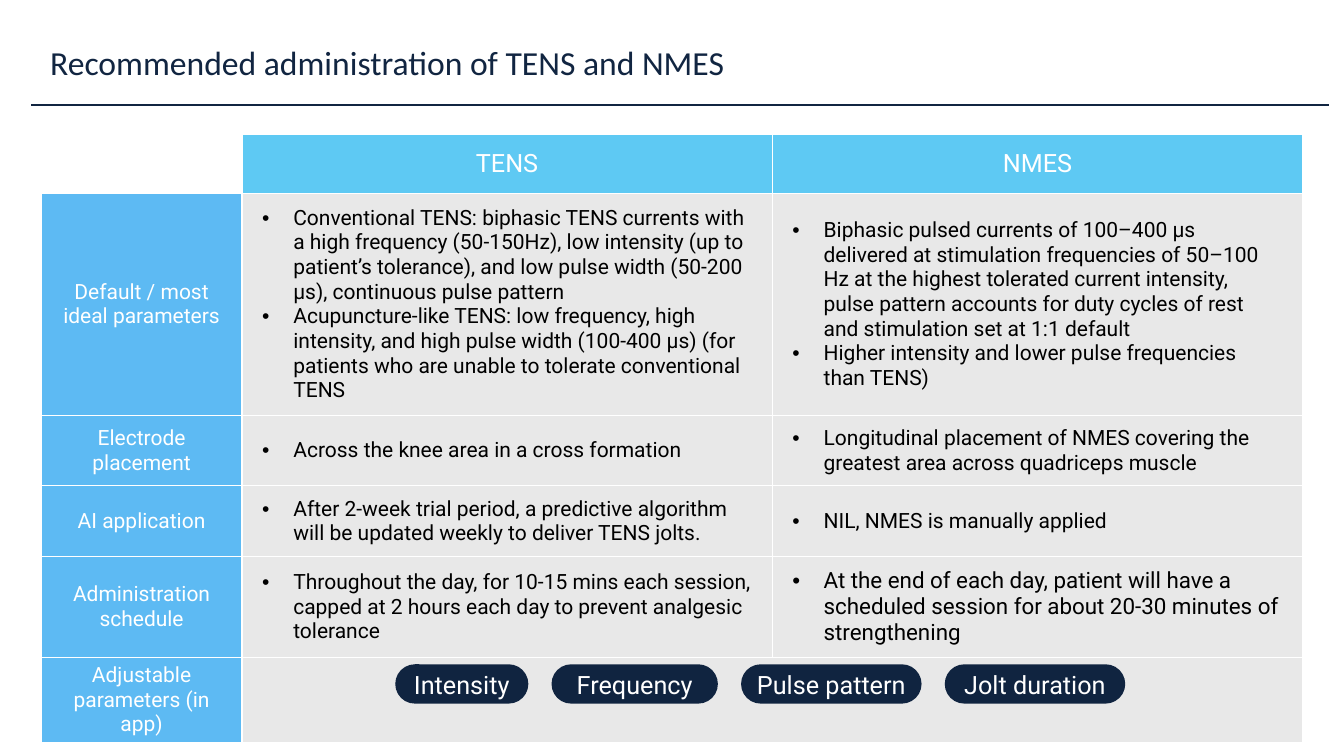
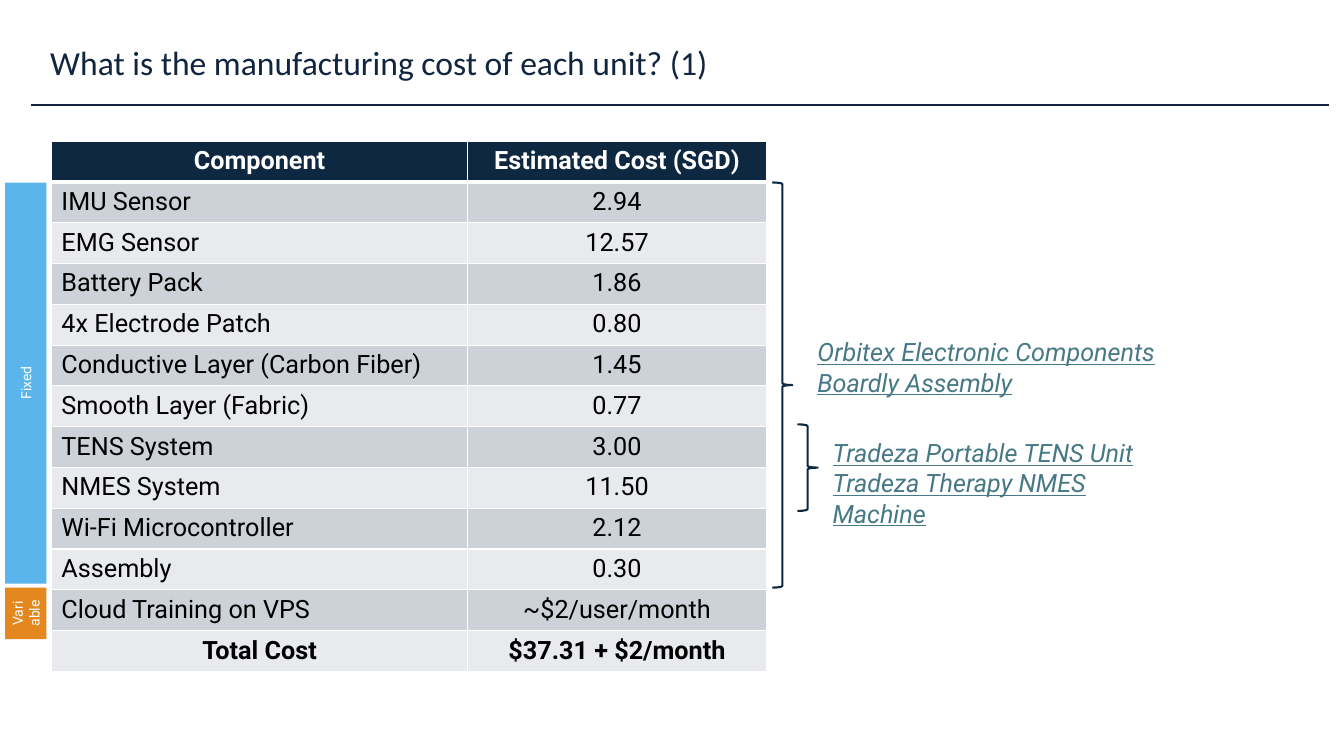
"""Build two slides: stimulation therapy settings and the unit cost breakdown."""
from dataclasses import dataclass

from lxml import etree
from pptx import Presentation
from pptx.dml.color import RGBColor
from pptx.enum.shapes import MSO_CONNECTOR, MSO_SHAPE
from pptx.enum.text import MSO_ANCHOR, PP_ALIGN
from pptx.oxml.ns import qn
from pptx.util import Inches, Pt


@dataclass(frozen=True)
class Theme:
    title_font: str = "Calibri"
    body_font: str = "Roboto"
    title_color: str = "112541"
    navy: str = "0E2841"
    pill: str = "102440"
    white: str = "FFFFFF"
    black: str = "000000"
    header: str = "5EC9F3"
    label: str = "5DBAF3"
    panel: str = "E8E8E8"
    band_dark: str = "CCD2D8"
    band_light: str = "E8EAED"
    fixed: str = "59B5EC"
    variable: str = "E3871E"
    link: str = "467886"
    title_size: float = 24
    large: float = 18
    medium: float = 16
    body: float = 15
    small: float = 10
    rule: float = 1.5


THEME = Theme()

THERAPY_TITLE = "Recommended administration of TENS and NMES"
THERAPY_HEADERS = ("TENS", "NMES")
THERAPY_ROWS = [
    ("Default / most ideal parameters",
     ["Conventional TENS: biphasic TENS currents with a high frequency (50-150Hz), low intensity "
      "(up to patient’s tolerance), and low pulse width (50-200 μs), continuous pulse pattern",
      "Acupuncture-like TENS: low frequency, high intensity, and high pulse width (100-400 μs) "
      "(for patients who are unable to tolerate conventional TENS"],
     ["Biphasic pulsed currents of 100–400 μs delivered at stimulation frequencies of 50–100 Hz "
      "at the highest tolerated current intensity, pulse pattern accounts for duty cycles of rest "
      "and stimulation set at 1:1 default",
      "Higher intensity and lower pulse frequencies than TENS)"]),
    ("Electrode placement",
     ["Across the knee area in a cross formation"],
     ["Longitudinal placement of NMES covering the greatest area across quadriceps muscle"]),
    ("AI application",
     ["After 2-week trial period, a predictive algorithm will be updated weekly to deliver TENS jolts."],
     ["NIL, NMES is manually applied"]),
    ("Administration schedule",
     ["Throughout the day, for 10-15 mins each session, capped at 2 hours each day to prevent "
      "analgesic tolerance"],
     ["At the end of each day, patient will have a scheduled session for about 20-30 minutes of "
      "strengthening"]),
]
ADJUSTABLE_LABEL = "Adjustable parameters (in app)"
ADJUSTABLE = [("Intensity", 1.32), ("Frequency", 1.65), ("Pulse pattern", 1.79), ("Jolt duration", 1.79)]
THERAPY_COLUMNS = (1.99, 5.26, 5.26)
THERAPY_HEIGHTS = (0.59, 2.19, 0.7, 0.7, 0.99, 0.85)

COST_TITLE = "What is the manufacturing cost of each unit? (1)"
COST_ROWS = [
    ("Component", "Estimated Cost (SGD)"),
    ("IMU Sensor", "2.94"),
    ("EMG Sensor", "12.57"),
    ("Battery Pack", "1.86"),
    ("4x Electrode Patch", "0.80"),
    ("Conductive Layer (Carbon Fiber)", "1.45"),
    ("Smooth Layer (Fabric)", "0.77"),
    ("TENS System", "3.00"),
    ("NMES System", "11.50"),
    ("Wi-Fi Microcontroller", "2.12"),
    ("Assembly", "0.30"),
    ("Cloud Training on VPS", "~$2/user/month"),
    ("Total Cost", "$37.31 + $2/month"),
]
COST_COLUMNS = (4.13, 2.96)
COST_ROW_HEIGHT = 0.405
COST_TYPES = [("Fixed", 1.81, 3.98, THEME.fixed), ("Variable", 5.83, 0.51, THEME.variable)]
SOURCES = [
    (["Orbitex Electronic Components", "Boardly Assembly"], (7.66, 1.81, 0.2, 4.02),
     (8.01, 3.29, 3.6, 0.71), False),
    (["Tradeza Portable TENS Unit", "Tradeza Therapy NMES Machine"], (7.91, 4.21, 0.2, 0.86),
     (8.16, 4.29, 3.64, 0.71), True),
]


def inches(values):
    return [Inches(value) for value in values]


def color(value):
    return RGBColor.from_string(value)


def write(frame, lines, size, text_color, align=PP_ALIGN.LEFT, font=THEME.body_font,
          bold=False, link=False, bullet=False):
    for index, line in enumerate(lines):
        paragraph = frame.paragraphs[0] if index == 0 else frame.add_paragraph()
        paragraph.text = line
        paragraph.alignment = align
        if bullet:
            properties = paragraph._p.get_or_add_pPr()
            properties.set("marL", str(Inches(0.31)))
            properties.set("indent", str(-Inches(0.31)))
            etree.SubElement(properties, qn("a:buFont"), typeface="Arial")
            etree.SubElement(properties, qn("a:buChar"), char="•")
        paragraph.font.name = font
        paragraph.font.size = Pt(size)
        paragraph.font.color.rgb = color(text_color)
        paragraph.font.bold = bold
        if link:
            paragraph.font.italic = True
            paragraph.font.underline = True


def add_text(slide, box, lines, size, text_color, wrap=True, **style):
    frame = slide.shapes.add_textbox(*inches(box)).text_frame
    frame.word_wrap = wrap
    write(frame, lines, size, text_color, **style)


def add_shape(slide, kind, box, fill=None, line=None):
    shape = slide.shapes.add_shape(kind, *inches(box))
    shape.shadow.inherit = False
    if fill:
        shape.fill.solid()
        shape.fill.fore_color.rgb = color(fill)
    else:
        shape.fill.background()
    if line:
        shape.line.color.rgb = color(line)
        shape.line.width = Pt(THEME.rule)
    else:
        shape.line.fill.background()
    return shape


def add_label(slide, kind, box, fill, text, size):
    shape = add_shape(slide, kind, box, fill)
    shape.text_frame.word_wrap = True
    shape.text_frame.vertical_anchor = MSO_ANCHOR.MIDDLE
    write(shape.text_frame, [text], size, THEME.white, PP_ALIGN.CENTER)
    return shape


def add_table(slide, left, top, columns, heights):
    box = inches((left, top, sum(columns), sum(heights)))
    table = slide.shapes.add_table(len(heights), len(columns), *box).table
    table.first_row = table.horz_banding = False
    for column, width in zip(table.columns, columns):
        column.width = Inches(width)
    for row, height in zip(table.rows, heights):
        row.height = Inches(height)
    return table


def style_cell(cell, fill=None, bottom=1):
    properties = cell._tc.get_or_add_tcPr()
    for side, width in (("L", 1), ("R", 1), ("T", 1), ("B", bottom)):
        border = etree.SubElement(properties, qn(f"a:ln{side}"), w=str(Pt(width)))
        solid = etree.SubElement(border, qn("a:solidFill"))
        etree.SubElement(solid, qn("a:srgbClr"), val=THEME.white)
    if fill:
        cell.fill.solid()
        cell.fill.fore_color.rgb = color(fill)
    else:
        cell.fill.background()


def add_slide(presentation, title):
    slide = presentation.slides.add_slide(presentation.slide_layouts[6])
    rule = slide.shapes.add_connector(MSO_CONNECTOR.STRAIGHT, *inches((0.31, 1.04, 13.18, 1.04)))
    rule.line.color.rgb = color(THEME.title_color)
    rule.line.width = Pt(THEME.rule)
    etree.SubElement(rule._element.spPr, qn("a:effectLst"))
    add_text(slide, (0.4, 0.37, 10.14, 0.5), [title], THEME.title_size, THEME.title_color,
             font=THEME.title_font)
    return slide


def fill_heading(cell, text, size, fill):
    style_cell(cell, fill)
    cell.vertical_anchor = MSO_ANCHOR.MIDDLE
    write(cell.text_frame, [text], size, THEME.white, PP_ALIGN.CENTER)


def fill_details(cell, lines, size):
    style_cell(cell, THEME.panel)
    cell.vertical_anchor = MSO_ANCHOR.MIDDLE
    cell.margin_left = cell.margin_right = Inches(0.2)
    cell.margin_top = cell.margin_bottom = Inches(0.1)
    write(cell.text_frame, lines, size, THEME.black, bullet=True)


def build_therapy(presentation):
    slide = add_slide(presentation, THERAPY_TITLE)
    table = add_table(slide, 0.41, 1.33, THERAPY_COLUMNS, THERAPY_HEIGHTS)
    style_cell(table.cell(0, 0))
    for column, text in enumerate(THERAPY_HEADERS, 1):
        fill_heading(table.cell(0, column), text, THEME.large, THEME.header)
    for row, (label, tens, nmes) in enumerate(THERAPY_ROWS, 1):
        fill_heading(table.cell(row, 0), label, THEME.body, THEME.label)
        fill_details(table.cell(row, 1), tens, THEME.body)
        nmes_size = THEME.medium if row == len(THERAPY_ROWS) else THEME.body
        fill_details(table.cell(row, 2), nmes, nmes_size)
    last = len(THERAPY_HEIGHTS) - 1
    fill_heading(table.cell(last, 0), ADJUSTABLE_LABEL, THEME.body, THEME.label)
    table.cell(last, 1).merge(table.cell(last, 2))
    for column in (1, 2):
        style_cell(table.cell(last, column), THEME.panel)
    left, gap = 3.92, 0.23
    for text, width in ADJUSTABLE:
        pill = add_label(slide, MSO_SHAPE.ROUNDED_RECTANGLE, (left, 6.59, width, 0.39),
                         THEME.pill, text, THEME.large)
        pill.adjustments[0] = 0.5
        pill.text_frame.margin_left = pill.text_frame.margin_right = Inches(0.05)
        left += width + gap


def build_cost(presentation):
    slide = add_slide(presentation, COST_TITLE)
    table = add_table(slide, 0.51, 1.4, COST_COLUMNS, [COST_ROW_HEIGHT] * len(COST_ROWS))
    last = len(COST_ROWS) - 1
    for row, values in enumerate(COST_ROWS):
        header = row == 0
        band = THEME.band_dark if row % 2 else THEME.band_light
        for column, text in enumerate(values):
            cell = table.cell(row, column)
            style_cell(cell, THEME.navy if header else band, bottom=3 if header else 1)
            emphasis = row in (0, last)
            align = PP_ALIGN.CENTER if emphasis or column else PP_ALIGN.LEFT
            write(cell.text_frame, [text], THEME.large, THEME.white if header else THEME.black,
                  align, bold=emphasis)
    strip_left, strip_width = 0.05, 0.41
    for text, top, length, fill in COST_TYPES:
        box = (strip_left + (strip_width - length) / 2, top + (length - strip_width) / 2,
               length, strip_width)
        add_label(slide, MSO_SHAPE.RECTANGLE, box, fill, text, THEME.small).rotation = 270
    for lines, brace, box, wrap in SOURCES:
        add_shape(slide, MSO_SHAPE.RIGHT_BRACE, brace, line=THEME.navy)
        add_text(slide, box, lines, THEME.large, THEME.link, wrap=wrap, link=True)


def main():
    presentation = Presentation()
    presentation.slide_width = Inches(13.33)
    presentation.slide_height = Inches(7.5)
    build_therapy(presentation)
    build_cost(presentation)
    presentation.save("out.pptx")


if __name__ == "__main__":
    main()
